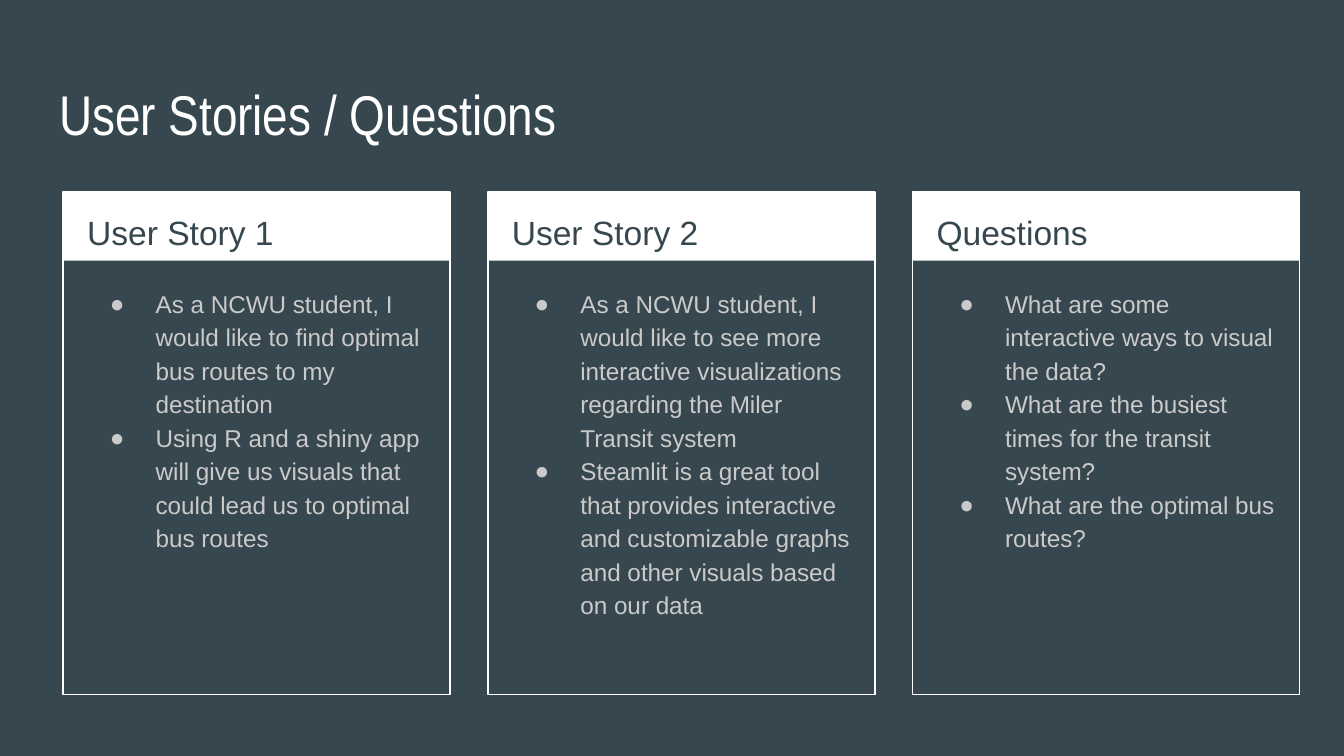
from pptx import Presentation
from pptx.dml.color import RGBColor
from pptx.enum.shapes import MSO_SHAPE
from pptx.enum.text import MSO_ANCHOR, MSO_AUTO_SIZE, PP_ALIGN
from pptx.oxml.ns import qn
from pptx.util import Inches, Pt
from lxml import etree

SLATE = RGBColor(0x37, 0x47, 0x4F)
WHITE = RGBColor(0xFF, 0xFF, 0xFF)
GREY = RGBColor(0xCA, 0xCA, 0xCA)

TITLE_FONT = {"name": "Arial Narrow", "size": Pt(30)}
HEADING_FONT = {"name": "Arial", "size": Pt(18)}
BODY_FONT = {"name": "Arial", "size": Pt(13)}
FRAME_FORMAT = {
    "word_wrap": True,
    "auto_size": MSO_AUTO_SIZE.NONE,
    "vertical_anchor": MSO_ANCHOR.TOP,
    **{f"margin_{side}": Inches(0.1) for side in ("left", "top", "right", "bottom")},
}

CARDS = [
    ("User Story 1", [
        "As a NCWU student, I would like to find optimal bus routes to my destination",
        "Using R and a shiny app will give us visuals that could lead us to optimal bus routes",
    ]),
    ("User Story 2", [
        "As a NCWU student, I would like to see more interactive visualizations "
        "regarding the Miler Transit system",
        "Steamlit is a great tool that provides interactive and customizable graphs "
        "and other visuals based on our data",
    ]),
    ("Questions", [
        "What are some interactive ways to visual the data?",
        "What are the busiest times for the transit system?",
        "What are the optimal bus routes?",
    ]),
]


def set_values(target, values):
    for name, value in values.items():
        setattr(target, name, value)


def write_text(shape, lines, font, color, spacing=1.0, bullets=False):
    frame = shape.text_frame
    set_values(frame, FRAME_FORMAT)
    for index, line in enumerate(lines):
        para = frame.add_paragraph() if index else frame.paragraphs[0]
        set_values(para, {"alignment": PP_ALIGN.LEFT, "line_spacing": spacing,
                          "space_before": Pt(0), "space_after": Pt(0)})
        span = para.add_run()
        span.text = line
        set_values(span.font, font)
        span.font.color.rgb = color
        if bullets:
            add_bullet(para, color)


def add_bullet(para, color):
    props = para._p.get_or_add_pPr()
    props.set("marL", str(Inches(0.5)))
    props.set("indent", str(Inches(-0.34)))
    bullet_color = etree.SubElement(props, qn("a:buClr"))
    etree.SubElement(bullet_color, qn("a:srgbClr"), val=str(color))
    etree.SubElement(props, qn("a:buFont"), typeface="Arial")
    etree.SubElement(props, qn("a:buChar"), char="●")


def add_title(page, text, left, top, width, height):
    title = page.shapes.title
    set_values(title, {"left": Inches(left), "top": Inches(top),
                       "width": Inches(width), "height": Inches(height)})
    write_text(title, [text], TITLE_FONT, WHITE)


def add_card(page, heading, points, left, top, width, height):
    def box(x, y, w, h):
        return [Inches(value) for value in (left + x, top + y, w, h)]

    # Heading band
    band = page.shapes.add_shape(MSO_SHAPE.RECTANGLE, *box(0, 0, width, 0.51))
    band.shadow.inherit = False
    band.fill.solid()
    band.fill.fore_color.rgb = WHITE
    band.line.fill.background()

    # Card outline
    outline = page.shapes.add_shape(MSO_SHAPE.RECTANGLE, *box(0, 0, width, height))
    outline.shadow.inherit = False
    outline.fill.background()
    outline.line.color.rgb = WHITE
    outline.line.width = Pt(0.75)

    # Heading and bullet list
    label = page.shapes.add_textbox(*box(0.08, 0, width - 0.15, 0.5))
    write_text(label, [heading], HEADING_FONT, SLATE, 1.15)
    body = page.shapes.add_textbox(*box(0.09, 0.59, width - 0.17, height - 0.68))
    write_text(body, points, BODY_FONT, GREY, 1.15, bullets=True)


def main():
    # Widescreen page, 16 to 9
    deck = Presentation()
    deck.slide_width, deck.slide_height = Inches(10), Inches(10 * 9 / 16)
    page = deck.slides.add_slide(deck.slide_layouts[5])
    page.background.fill.solid()
    page.background.fill.fore_color.rgb = SLATE

    add_title(page, "User Stories / Questions", 0.34, 0.49, 9.32, 0.63)
    for column, (heading, points) in enumerate(CARDS):
        add_card(page, heading, points, 0.47 + column * 3.16, 1.43, 2.88, 3.74)
    deck.save("out.pptx")


if __name__ == "__main__":
    main()
